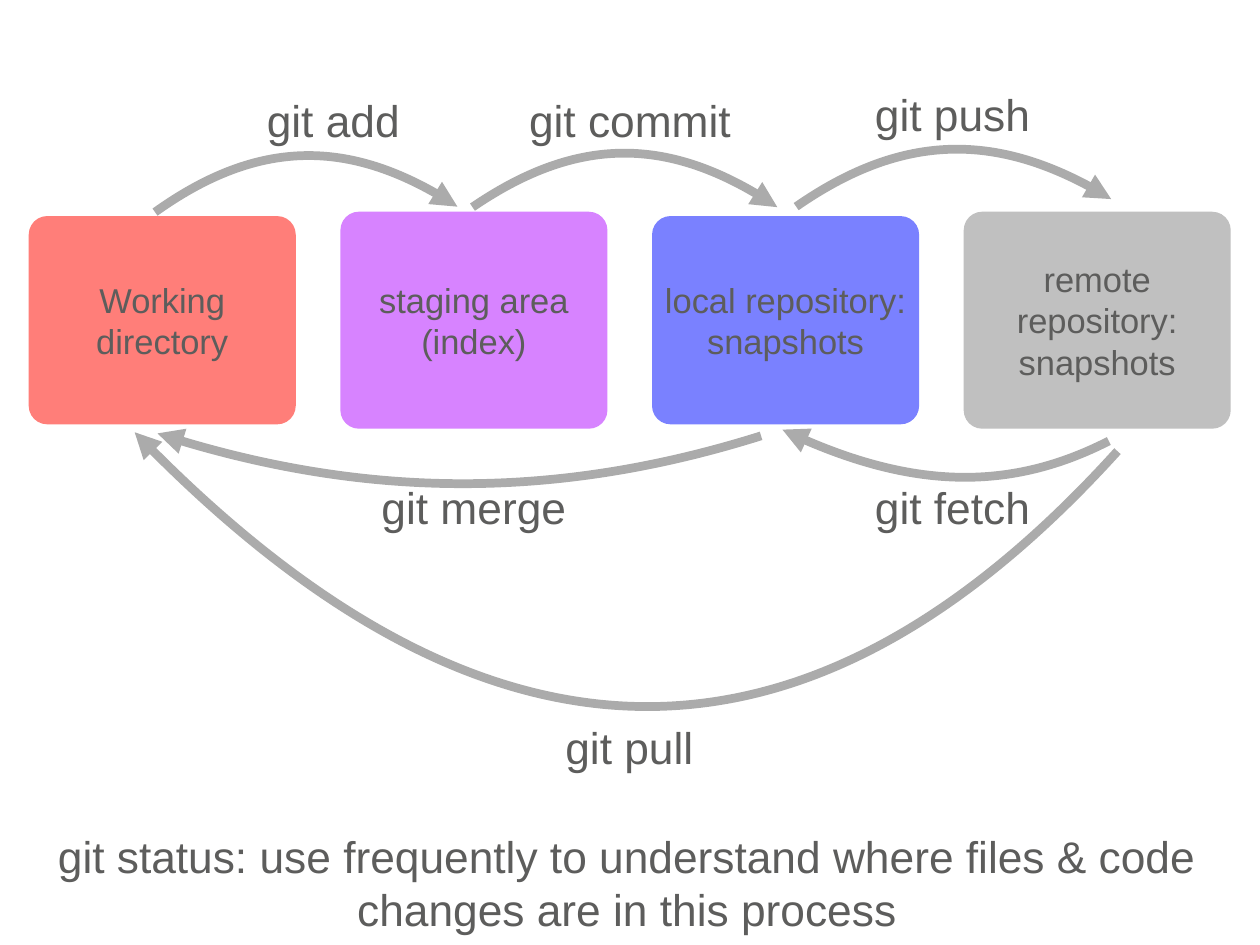
import pptx
import pptx.util
import pptx.dml.color
import pptx.enum.shapes
import pptx.enum.text
import pptx.oxml
import pptx.oxml.ns

Pt = pptx.util.Pt
qn = pptx.oxml.ns.qn
make = pptx.oxml.xmlchemy.OxmlElement
colors = {"work": "FF7E79", "stage": "D783FF", "local": "7A81FF",
          "remote": "C0C0C0", "text": "5D5D5C", "arrow": "ABABAB"}


def rgb(name):
    return pptx.dml.color.RGBColor.from_string(colors[name])


def write(shape, text, size, wrap):
    frame = shape.text_frame
    frame.text = text
    frame.word_wrap = wrap
    frame.vertical_anchor = pptx.enum.text.MSO_ANCHOR.MIDDLE
    frame.margin_left = frame.margin_right = Pt(2.8)
    frame.margin_top = frame.margin_bottom = Pt(2.8)
    for para in frame.paragraphs:
        para.alignment = pptx.enum.text.PP_ALIGN.CENTER
        for run in para.runs:
            run.font.name = "Arial"
            run.font.size = Pt(size)
            run.font.color.rgb = rgb("text")


deck = pptx.Presentation()
deck.slide_width, deck.slide_height = Pt(720), Pt(540)
slide = deck.slides.add_slide(deck.slide_layouts[6])
shapes = slide.shapes

stages = [
    ("work", "Working directory", 119),
    ("stage", "staging area (index)", 124),
    ("local", "local repository:\nsnapshots", 119),
    ("remote", "remote repository:\nsnapshots", 124),
]
for i, (key, text, high) in enumerate(stages):
    box = shapes.add_shape(pptx.enum.shapes.MSO_SHAPE.ROUNDED_RECTANGLE,
                           Pt(16.4 + 178.1 * i), Pt(183 - high / 2),
                           Pt(152.6), Pt(high))
    box.adjustments[0] = 10.6 / high
    box.shadow.inherit = False
    box.fill.solid()
    box.fill.fore_color.rgb = rgb(key)
    box.line.fill.background()
    write(box, text, 19.7, True)

curves = [
    [(88.6, 121.2), (145.4, 80.6), (203, 79.2), (261.4, 118.1)],
    [(270, 118.4), (328.3, 78.5), (385.9, 78.5), (444.2, 118.4)],
    [(455, 118.1), (514.1, 77), (573.8, 75.6), (635, 113.8)],
    [(633.6, 252), (577.4, 280.8), (515.5, 278.6), (447.1, 245.5)],
    [(434.9, 249.1), (320.4, 285.1), (205.2, 285.1), (90, 247.7)],
    [(638.6, 257.8), (460.8, 454.3), (273.6, 450.7), (77, 247)],
]
steps = 40
for ends in curves:
    dots = []
    for n in range(steps + 1):
        t = n / steps
        mix = ((1 - t) ** 3, 3 * t * (1 - t) ** 2, 3 * t * t * (1 - t), t ** 3)
        dots.append([Pt(sum(m * p[a] for m, p in zip(mix, ends))) for a in (0, 1)])
    form = shapes.build_freeform(*dots[0])
    form.add_line_segments(dots[1:], close=False)
    arc = form.convert_to_shape()
    arc.shadow.inherit = False
    arc.fill.background()
    arc.line.color.rgb = rgb("arrow")
    arc.line.width = Pt(5)
    tip = make("a:tailEnd")
    tip.set("type", "triangle")
    arc.line._get_or_add_ln().append(tip)
    route = next(arc._element.iter(qn("a:path")))
    for leg in route.findall(qn("a:lnTo")):
        route.remove(leg)
    bend = make("a:cubicBezTo")
    for x, y in ends[1:]:
        dot = make("a:pt")
        dot.set("x", str(Pt(x) - arc.left))
        dot.set("y", str(Pt(y) - arc.top))
        bend.append(dot)
    route.append(bend)

labels = [
    ("git add", 149, 50.4, 83),
    ("git commit", 298.8, 50.4, 122.4),
    ("git push", 496.8, 46.8, 95),
    ("git fetch", 496.8, 271.4, 95),
    ("git merge", 214.6, 271.4, 112.3),
    ("git pull", 319.7, 409, 80),
]
for text, left, top, wide in labels:
    label = shapes.add_textbox(Pt(left), Pt(top), Pt(wide), Pt(36))
    write(label, text, 25.3, False)

note = shapes.add_textbox(Pt(11.5), Pt(470.9), Pt(693.4), Pt(67))
write(note, "git status: use frequently to understand where files & code "
      "changes are in this process", 25.3, True)

deck.save("out.pptx")
